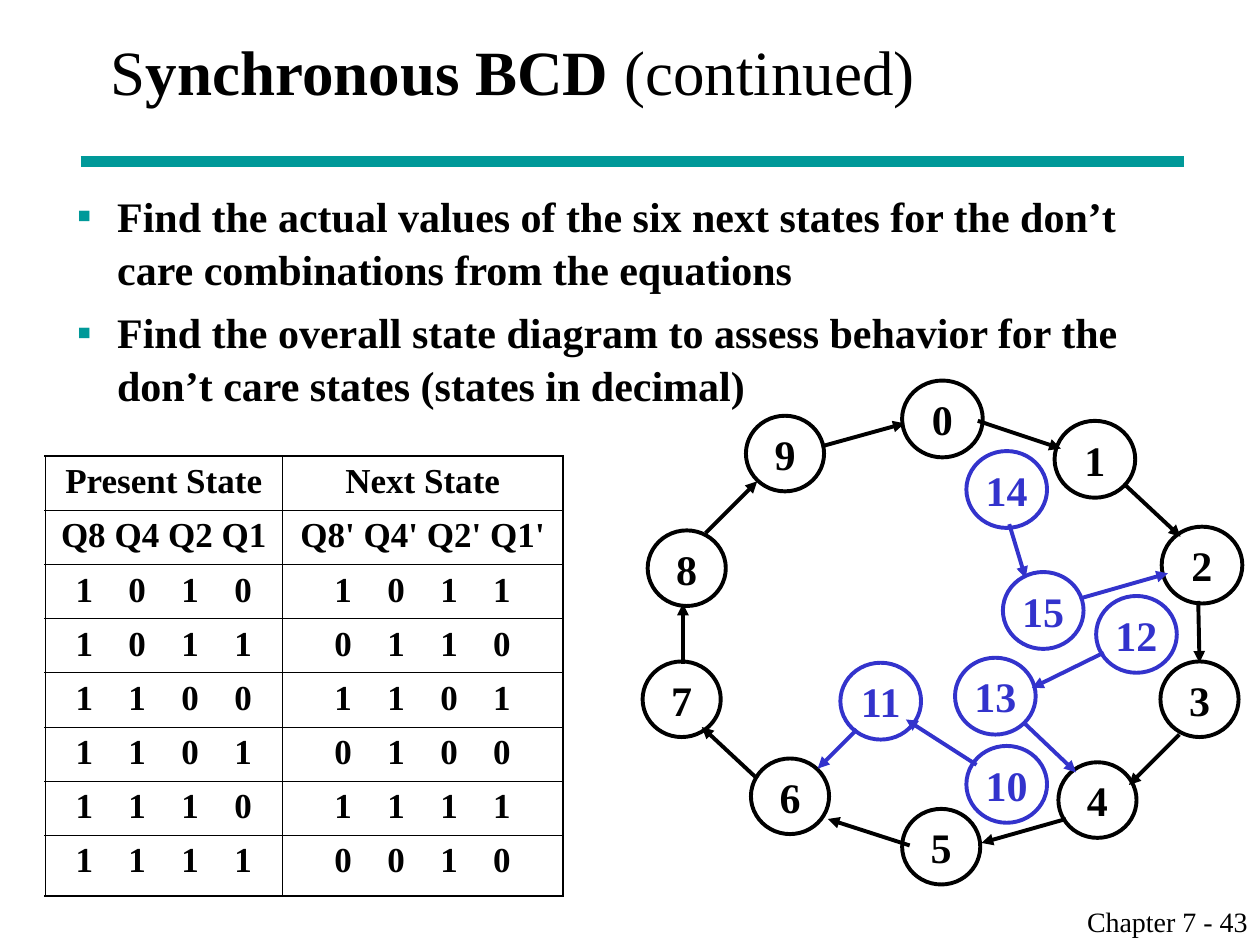
from lxml import etree
from pptx import Presentation
from pptx.dml.color import RGBColor
from pptx.enum.shapes import MSO_CONNECTOR, MSO_SHAPE
from pptx.enum.text import MSO_ANCHOR, MSO_AUTO_SIZE, PP_ALIGN
from pptx.oxml.ns import qn
from pptx.util import Inches, Pt

STRAIGHT = MSO_CONNECTOR.STRAIGHT
OVAL = MSO_SHAPE.OVAL
MIDDLE = MSO_ANCHOR.MIDDLE
NO_AUTOFIT = MSO_AUTO_SIZE.NONE
LEFT, CENTER, RIGHT = PP_ALIGN.LEFT, PP_ALIGN.CENTER, PP_ALIGN.RIGHT

FONT = "Times New Roman"
COLORS = {"black": "000000", "teal": "009999", "blue": "3333CC"}

TITLE = [("S", False), ("ynchronous BCD", True), (" (continued)", False)]
BULLETS = [
    "Find the actual values of the six next states for the don’t care combinations from the equations",
    "Find the overall state diagram to assess behavior for the don’t care states (states in decimal)",
]
FOOTER = "Chapter 7 - 43"

HEADERS = [("Present State", "Next State"), ("Q8 Q4 Q2 Q1", "Q8' Q4' Q2' Q1'")]
TRANSITIONS = [
    ("1010", "1011"),
    ("1011", "0110"),
    ("1100", "1101"),
    ("1101", "0100"),
    ("1110", "1111"),
    ("1111", "0010"),
]
COLUMN_WIDTHS = [1.88, 2.23]
ROW_HEIGHTS = [0.43] * 7 + [0.48]
DIGIT_STEP, DIGIT_WIDTH = 0.42, 0.14

LARGE, SMALL = (0.64, 0.61), (0.62, 0.6)
STATES = [
    ("0", 7.16, 3.02, LARGE, "black"),
    ("1", 8.37, 3.34, LARGE, "black"),
    ("2", 9.22, 4.18, LARGE, "black"),
    ("3", 9.21, 5.25, SMALL, "black"),
    ("4", 8.4, 6.05, SMALL, "black"),
    ("5", 7.16, 6.42, SMALL, "black"),
    ("6", 5.96, 6.02, SMALL, "black"),
    ("7", 5.1, 5.25, SMALL, "black"),
    ("8", 5.14, 4.21, SMALL, "black"),
    ("9", 5.92, 3.3, SMALL, "black"),
    ("10", 7.67, 5.92, LARGE, "blue"),
    ("11", 6.67, 5.26, LARGE, "blue"),
    ("12", 8.7, 4.73, LARGE, "blue"),
    ("13", 7.58, 5.22, LARGE, "blue"),
    ("14", 7.67, 3.58, LARGE, "blue"),
    ("15", 7.96, 4.54, LARGE, "blue"),
]
ARROWS = {
    "black": [
        (7.76, 3.34, 8.42, 3.56),
        (8.92, 3.84, 9.37, 4.26),
        (9.51, 4.77, 9.52, 5.26),
        (9.36, 5.83, 8.96, 6.23),
        (8.46, 6.5, 7.79, 6.69),
        (7.22, 6.71, 6.57, 6.5),
        (6.01, 6.18, 5.57, 5.77),
        (5.42, 5.27, 5.42, 4.79),
        (5.6, 4.23, 6.01, 3.82),
        (6.53, 3.54, 7.18, 3.36),
    ],
    "blue": [
        (7.75, 6.07, 7.19, 5.71),
        (6.8, 5.79, 6.49, 6.1),
        (8.76, 5.18, 8.19, 5.46),
        (8.12, 5.73, 8.54, 6.13),
        (8.01, 4.16, 8.14, 4.59),
        (8.57, 4.75, 9.27, 4.55),
    ],
}


def rgb(name):
    return RGBColor.from_string(COLORS[name])


def add_run(paragraph, text, size, bold=False, color="black"):
    run = paragraph.add_run()
    run.text = text
    run.font.name = FONT
    run.font.size = Pt(size)
    run.font.bold = bold
    run.font.color.rgb = rgb(color)


def place(shape, left, top, width, height):
    shape.left, shape.top = Inches(left), Inches(top)
    shape.width, shape.height = Inches(width), Inches(height)


def add_line(slide, ends, color, width, arrow=False):
    line = slide.shapes.add_connector(STRAIGHT, *[Inches(value) for value in ends])
    line.line.color.rgb = rgb(color)
    line.line.width = Pt(width)
    if arrow:
        etree.SubElement(line.line._get_or_add_ln(), qn("a:tailEnd"), type="triangle")
    etree.SubElement(line._element.spPr, qn("a:effectLst"))


def add_bullet(paragraph):
    properties = paragraph._p.get_or_add_pPr()
    indent = Inches(0.32)
    properties.set("marL", str(indent))
    properties.set("indent", str(-indent))
    color = etree.SubElement(properties, qn("a:buClr"))
    etree.SubElement(color, qn("a:srgbClr"), val=COLORS["teal"])
    etree.SubElement(properties, qn("a:buChar"), char="▪")


def add_digit_tabs(paragraph):
    tabs = etree.SubElement(paragraph._p.get_or_add_pPr(), qn("a:tabLst"))
    for position in range(1, 4):
        etree.SubElement(tabs, qn("a:tab"), pos=str(Inches(DIGIT_STEP * position)), algn="l")


def set_borders(cell, outer_sides):
    properties = cell._tc.get_or_add_tcPr()
    for side in "LRTB":
        width = Pt(1.08 if side in outer_sides else 0.45)
        border = etree.SubElement(properties, qn(f"a:ln{side}"), w=str(width))
        fill = etree.SubElement(border, qn("a:solidFill"))
        etree.SubElement(fill, qn("a:srgbClr"), val=COLORS["black"])


def add_state_table(slide):
    rows = HEADERS + TRANSITIONS
    table = slide.shapes.add_table(
        len(rows), 2, Inches(0.36), Inches(3.62),
        Inches(sum(COLUMN_WIDTHS)), Inches(sum(ROW_HEIGHTS))).table
    table.first_row = table.horz_banding = False
    for column, width in zip(table.columns, COLUMN_WIDTHS):
        column.width = Inches(width)
    for row_index, row in enumerate(rows):
        table.rows[row_index].height = Inches(ROW_HEIGHTS[row_index])
        for column_index, text in enumerate(row):
            cell = table.cell(row_index, column_index)
            outer = "LR"[column_index]
            outer += {0: "T", len(rows) - 1: "B"}.get(row_index, "")
            set_borders(cell, outer)
            cell.fill.background()
            paragraph = cell.text_frame.paragraphs[0]
            if row_index < len(HEADERS):
                paragraph.alignment = CENTER
            else:
                digits_width = 3 * DIGIT_STEP + DIGIT_WIDTH
                cell.margin_left = Inches((COLUMN_WIDTHS[column_index] - digits_width) / 2)
                add_digit_tabs(paragraph)
                text = "\t".join(text)
            add_run(paragraph, text, 20, True)


def add_state(slide, label, left, top, size, color):
    state = slide.shapes.add_shape(OVAL, 0, 0, 0, 0)
    place(state, left, top, *size)
    state.shadow.inherit = False
    state.fill.background()
    state.line.color.rgb = rgb(color)
    state.line.width = Pt(2.25)
    frame = state.text_frame
    frame.margin_left = frame.margin_right = frame.margin_top = frame.margin_bottom = 0
    frame.word_wrap = False
    frame.vertical_anchor = MIDDLE
    frame.paragraphs[0].alignment = CENTER
    add_run(frame.paragraphs[0], label, 24, True, color)


def main():
    presentation = Presentation()
    presentation.slide_width, presentation.slide_height = Inches(10), Inches(7.5)
    slide = presentation.slides.add_slide(presentation.slide_layouts[1])

    add_line(slide, (0.64, 1.28, 9.4, 1.28), "teal", 6)

    title = slide.shapes.title
    place(title, 0.78, 0, 8.5, 1.12)
    title.text_frame.auto_size = NO_AUTOFIT
    title.text_frame.vertical_anchor = MIDDLE
    title.text_frame.paragraphs[0].alignment = LEFT
    for text, bold in TITLE:
        add_run(title.text_frame.paragraphs[0], text, 36, bold)

    body = slide.placeholders[1]
    place(body, 0.51, 1.44, 8.5, 5.5)
    frame = body.text_frame
    frame.auto_size = NO_AUTOFIT
    for index, text in enumerate(BULLETS):
        paragraph = frame.add_paragraph() if index else frame.paragraphs[0]
        add_bullet(paragraph)
        paragraph.space_before = Pt(6 if index else 0)
        paragraph.line_spacing = 1.05
        add_run(paragraph, text, 24, True)

    add_state_table(slide)
    for state in STATES:
        add_state(slide, *state)
    for color, arrows in ARROWS.items():
        for ends in arrows:
            add_line(slide, ends, color, 2.25, arrow=True)

    footer = slide.shapes.add_textbox(Inches(7.58), Inches(7.13), Inches(2.42), Inches(0.37))
    footer.text_frame.word_wrap = True
    footer.text_frame.paragraphs[0].alignment = RIGHT
    add_run(footer.text_frame.paragraphs[0], FOOTER, 16)

    presentation.save("out.pptx")


if __name__ == "__main__":
    main()
